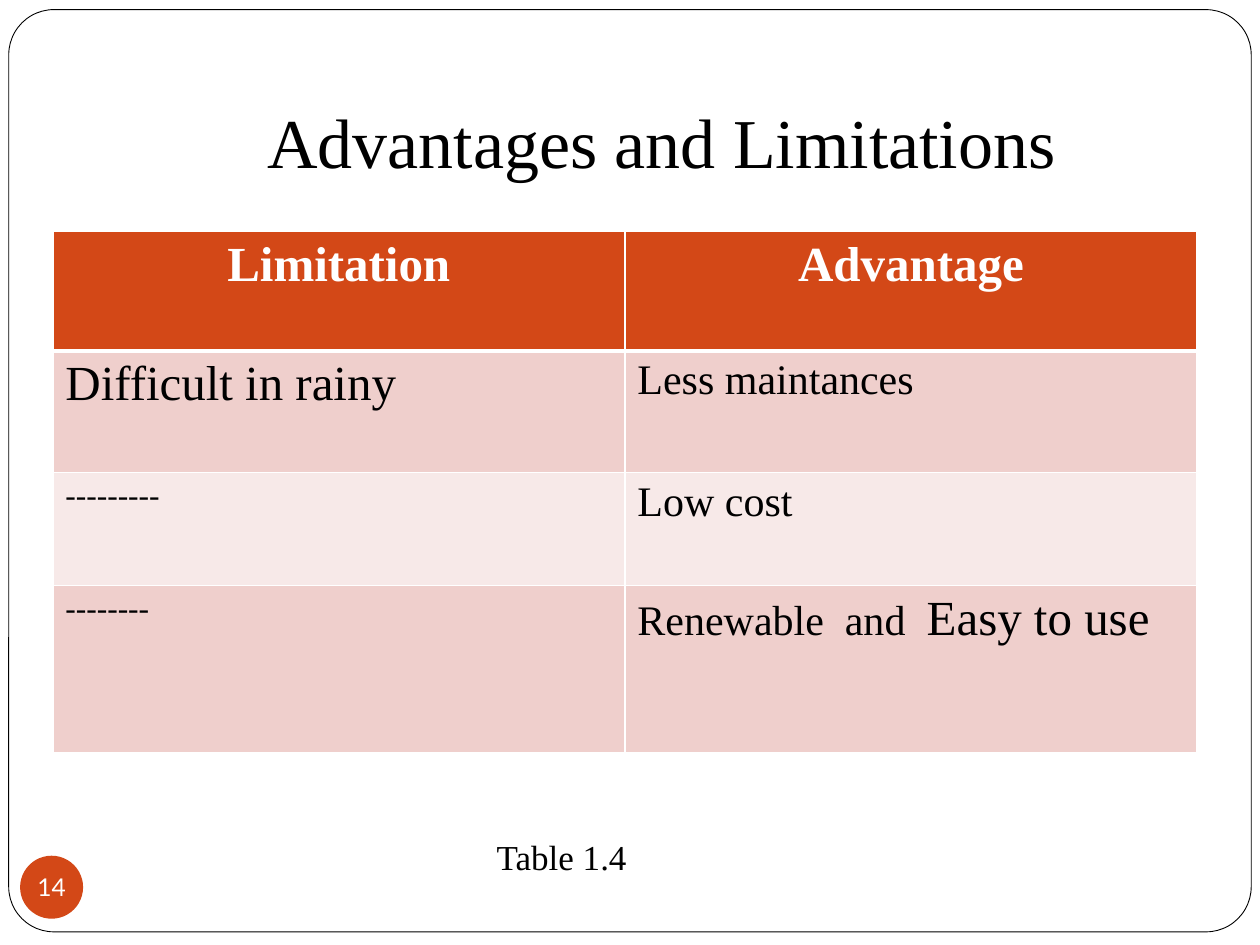
import pptx
import pptx.util
import pptx.dml.color
import pptx.enum.shapes
import pptx.enum.text
import pptx.oxml
import pptx.oxml.ns

Pt = pptx.util.Pt
RGBColor = pptx.dml.color.RGBColor
Align = pptx.enum.text.PP_ALIGN
Anchor = pptx.enum.text.MSO_ANCHOR
Shape = pptx.enum.shapes.MSO_SHAPE

BLACK = RGBColor(0x00, 0x00, 0x00)
WHITE = RGBColor(0xFF, 0xFF, 0xFF)
ORANGE = RGBColor(0xD3, 0x48, 0x17)
ROSE = RGBColor(0xEF, 0xCF, 0xCC)
PALE_ROSE = RGBColor(0xF7, 0xE9, 0xE8)


class SlideBuilder:
    serif = "Times New Roman"
    sans = "Lato"

    def __init__(self, slide):
        self.slide = slide

    def set_text(self, frame, spans, color=BLACK, align=Align.LEFT, font=None, bold=False):
        """Fill the first paragraph with (text, size) spans."""
        para = frame.paragraphs[0]
        para.alignment = align
        para.font.name = font or self.serif
        para.font.size = Pt(spans[0][1])
        para.font.bold = bold
        para.font.color.rgb = color
        for text, size in spans:
            span = para.add_run()
            span.text = text
            if size != spans[0][1]:
                span.font.size = Pt(size)

    def title(self, text, place, size):
        box = self.slide.shapes.title
        box.left, box.top, box.width, box.height = map(Pt, place)
        frame = box.text_frame
        frame.auto_size = pptx.enum.text.MSO_AUTO_SIZE.NONE
        frame.vertical_anchor = Anchor.BOTTOM
        frame.margin_bottom = Pt(7.2)
        self.set_text(frame, [(text, size)], align=Align.CENTER)

    def shape(self, kind, place, fill, line=None):
        shape = self.slide.shapes.add_shape(kind, *map(Pt, place))
        shape.shadow.inherit = False
        shape.fill.solid()
        shape.fill.fore_color.rgb = fill
        if line is None:
            shape.line.fill.background()
        else:
            shape.line.color.rgb = line
            shape.line.width = Pt(0.5)
        return shape

    def badge(self, text, place, size):
        frame = self.shape(Shape.OVAL, place, ORANGE).text_frame
        frame.margin_left = frame.margin_right = 0
        frame.margin_top = frame.margin_bottom = 0
        frame.word_wrap = False
        frame.vertical_anchor = Anchor.MIDDLE
        self.set_text(frame, [(text, size)], WHITE, Align.CENTER, self.sans)

    def caption(self, text, place, size):
        frame = self.slide.shapes.add_textbox(*map(Pt, place)).text_frame
        frame.word_wrap = True
        self.set_text(frame, [(text, size)], align=Align.CENTER)

    def borders(self, cell, bottom, top):
        properties = cell._tc.get_or_add_tcPr()
        widths = {"lnL": 1, "lnR": 1, "lnT": top, "lnB": bottom}
        for index, (side, width) in enumerate(widths.items()):
            properties.insert(index, pptx.oxml.parse_xml(
                f'<a:{side} {pptx.oxml.ns.nsdecls("a")} w="{Pt(width)}">'
                f'<a:solidFill><a:srgbClr val="{WHITE}"/></a:solidFill></a:{side}>'))

    def table(self, rows, place, heights):
        table = self.slide.shapes.add_table(
            len(rows), len(rows[0]), *map(Pt, place), sum(map(Pt, heights))).table
        for row_index, (row, height) in enumerate(zip(rows, heights)):
            table.rows[row_index].height = Pt(height)
            header = row_index == 0
            fill = ORANGE if header else ROSE if row_index % 2 else PALE_ROSE
            for column_index, spans in enumerate(row):
                cell = table.cell(row_index, column_index)
                cell.fill.solid()
                cell.fill.fore_color.rgb = fill
                self.set_text(cell.text_frame, spans,
                              color=WHITE if header else BLACK,
                              align=Align.CENTER if header else Align.LEFT,
                              bold=header)
                self.borders(cell, bottom=3 if header else 1,
                             top=3 if row_index == 1 else 1)


deck = pptx.Presentation()
deck.slide_width, deck.slide_height = Pt(720), Pt(540)
page = SlideBuilder(deck.slides.add_slide(deck.slide_layouts[5]))

# Rounded page frame, behind the title
page_frame = page.shape(Shape.ROUNDED_RECTANGLE, (5, 5.5, 710, 527), WHITE, BLACK)
page_frame.adjustments[0] = 0.049
page.slide.shapes.title._element.addprevious(page_frame._element)

# Title
page.title("Advantages and Limitations", (72, 21.6, 612, 90), 40)

# Comparison table
page.table(
    [
        [[("Limitation", 28)], [("Advantage", 28)]],
        [[("Difficult in rainy", 28)], [("Less maintances", 24)]],
        [[("---------", 18)], [("Low cost", 24)]],
        [[("--------", 18)], [("Renewable  and  ", 24), ("Easy to use", 28)]],
    ],
    place=(30.2, 132, 653.8),
    heights=(68.5, 69.5, 64.5, 95.5),
)

# Page number and caption
page.badge("14", (11.5, 489, 36, 36), 14)
page.caption("Table 1.4", (210, 474, 222, 31.5), 20)

deck.save("out.pptx")
